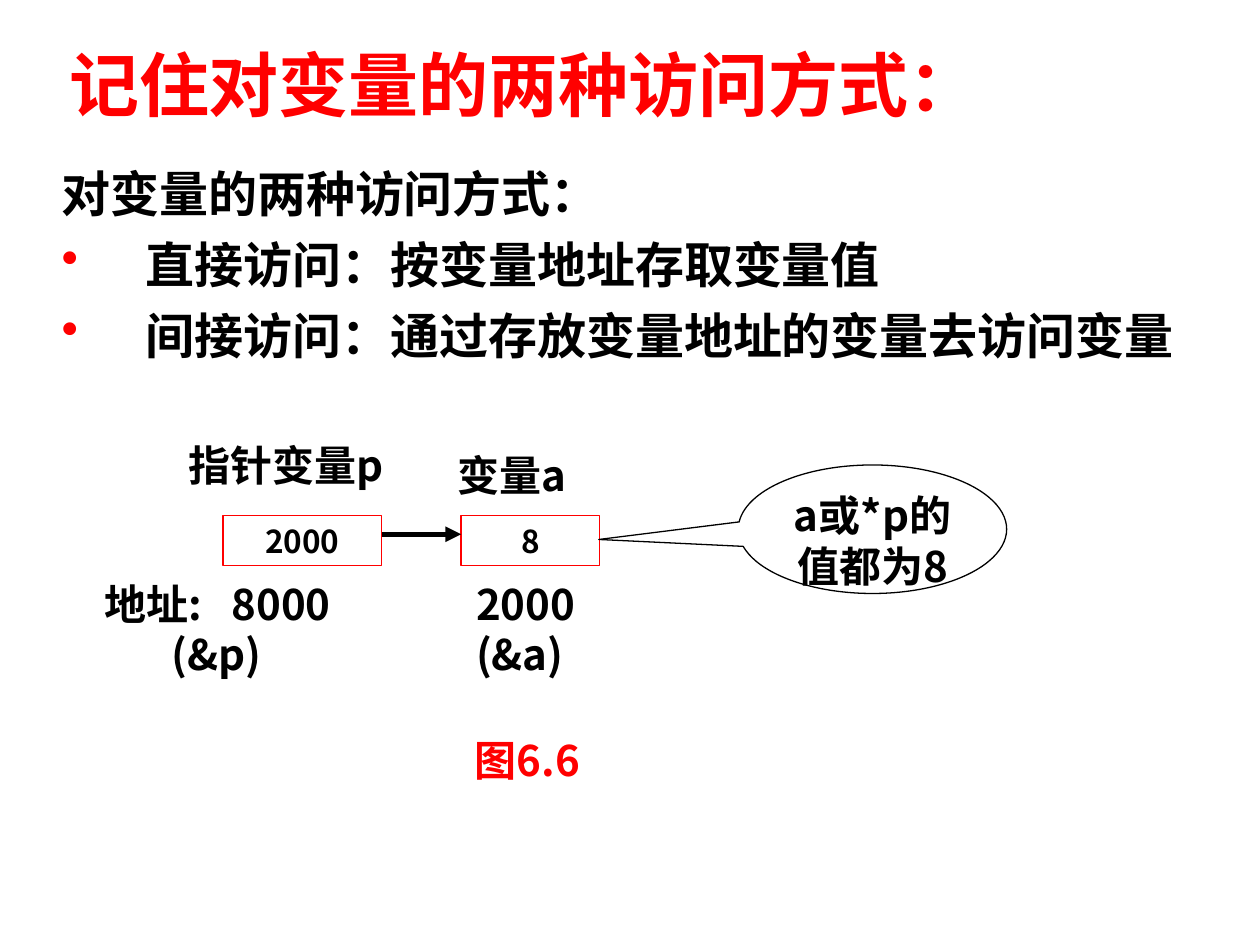
from dataclasses import dataclass

from lxml import etree
from pptx import Presentation
from pptx.dml.color import RGBColor
from pptx.enum.shapes import MSO_CONNECTOR, MSO_SHAPE
from pptx.enum.text import MSO_ANCHOR, PP_ALIGN
from pptx.oxml.ns import qn
from pptx.util import Inches, Pt

RECT = MSO_SHAPE.RECTANGLE
CALLOUT = MSO_SHAPE.OVAL_CALLOUT
STRAIGHT = MSO_CONNECTOR.STRAIGHT
LEFT, CENTER = PP_ALIGN.LEFT, PP_ALIGN.CENTER
TOP, MIDDLE = MSO_ANCHOR.TOP, MSO_ANCHOR.MIDDLE

FONT = "Noto Sans CJK SC"
COLORS = {"red": "FF0000", "black": "000000", "white": "FFFFFF"}


@dataclass
class Para:
    text: str
    margin: float = 0
    indent: float = 0
    before: float = 0
    bullet: bool = False
    tab: float = 0


@dataclass
class Label:
    left: float
    top: float
    width: float
    height: float
    paras: list[Para]
    size: float = 24
    color: str = "black"
    wrap: bool = True


@dataclass
class Cell:
    left: float
    width: float
    value: str


def rgb(name: str) -> RGBColor:
    return RGBColor.from_string(COLORS[name])


def add_para(p, para: Para, size: float, color: str, align) -> None:
    p.alignment = align
    p.space_before = Pt(para.before)
    pPr = p._p.get_or_add_pPr()
    if para.margin or para.indent:
        pPr.set("marL", str(Inches(para.margin)))
        pPr.set("indent", str(Inches(para.indent)))
    if para.bullet:
        bu_clr = etree.SubElement(pPr, qn("a:buClr"))
        etree.SubElement(bu_clr, qn("a:srgbClr"), val=COLORS["red"])
        etree.SubElement(pPr, qn("a:buChar"), char="•")
    if para.tab:
        tabs = etree.SubElement(pPr, qn("a:tabLst"))
        etree.SubElement(tabs, qn("a:tab"), pos=str(Inches(para.tab)), algn="l")
    r = p.add_run()
    r.text = para.text
    r.font.name, r.font.size, r.font.bold = FONT, Pt(size), True
    r.font.color.rgb = rgb(color)
    etree.SubElement(r._r.get_or_add_rPr(), qn("a:ea"), typeface=FONT)


def fill_text(s, paras: list[Para], size: float, color: str = "black",
              align=LEFT, anchor=TOP, wrap: bool = True) -> None:
    tf = s.text_frame
    tf.word_wrap = wrap
    tf.vertical_anchor = anchor
    for i, para in enumerate(paras):
        p = tf.add_paragraph() if i else tf.paragraphs[0]
        add_para(p, para, size, color, align)


def add_label(slide, label: Label) -> None:
    s = slide.shapes.add_textbox(Inches(label.left), Inches(label.top),
                                 Inches(label.width), Inches(label.height))
    fill_text(s, label.paras, label.size, label.color, wrap=label.wrap)


def add_outlined(slide, kind, left: float, top: float, width: float,
                 height: float, line: str):
    s = slide.shapes.add_shape(kind, Inches(left), Inches(top),
                               Inches(width), Inches(height))
    s.shadow.inherit = False
    s.line.color.rgb = rgb(line)
    s.line.width = Pt(0.75)
    return s


def add_arrow(slide, x1: float, x2: float, y: float) -> None:
    c = slide.shapes.add_connector(STRAIGHT, Inches(x1), Inches(y),
                                   Inches(x2), Inches(y))
    c.line.color.rgb = rgb("black")
    c.line.width = Pt(3)
    etree.SubElement(c.line._get_or_add_ln(), qn("a:tailEnd"), type="triangle")
    etree.SubElement(c._element.spPr, qn("a:effectLst"))


HANG = 0.67
LABELS = [
    # Title and figure caption
    Label(0.45, 0.28, 7.41, 0.77, [Para("记住对变量的两种访问方式：")], 40, "red", False),
    Label(3.67, 5.78, 1.26, 0.5, [Para("图6.6")], color="red"),
    # Addresses below the cells
    Label(0.73, 4.54, 2.41, 0.9,
          [Para("地址:\t8000", tab=1.01), Para("(&p)", margin=0.53)]),
    Label(3.68, 4.54, 1, 0.9, [Para("2000"), Para("(&a)")], wrap=False),
    # Names above the cells
    Label(1.4, 3.44, 1.81, 0.5, [Para("指针变量p")]),
    Label(3.53, 3.52, 1.14, 0.5, [Para("变量a")], wrap=False),
    # Body text
    Label(0.39, 1.25, 9.14, 2.05, [
        Para("对变量的两种访问方式：", HANG, -HANG),
        Para("直接访问：按变量地址存取变量值", HANG, -HANG, 7, True),
        Para("间接访问：通过存放变量地址的变量去访问变量", HANG, -HANG, 7, True),
    ], 28),
]
POINTER = Cell(1.77, 1.26, "2000")
TARGET = Cell(3.66, 1.1, "8")
CELL_TOP, CELL_HEIGHT = 4.09, 0.4


def main() -> None:
    prs = Presentation()
    prs.slide_width, prs.slide_height = Inches(10), Inches(7.5)
    slide = prs.slides.add_slide(prs.slide_layouts[6])

    # Memory cells and the pointer arrow
    for cell in (POINTER, TARGET):
        s = add_outlined(slide, RECT, cell.left, CELL_TOP, cell.width,
                         CELL_HEIGHT, "red")
        s.fill.background()
        fill_text(s, [Para(cell.value)], 18, align=CENTER, anchor=MIDDLE)
    add_arrow(slide, POINTER.left + POINTER.width, TARGET.left, 4.24)

    # Callout pointing at the target cell
    s = add_outlined(slide, CALLOUT, 5.86, 3.69, 2.13, 1.02, "black")
    s.fill.solid()
    s.fill.fore_color.rgb = rgb("white")
    s.adjustments[0], s.adjustments[1] = -1.02, 0.08
    fill_text(s, [Para("a或*p的值都为8")], 24, align=CENTER)

    for label in LABELS:
        add_label(slide, label)

    prs.save("out.pptx")


if __name__ == "__main__":
    main()
